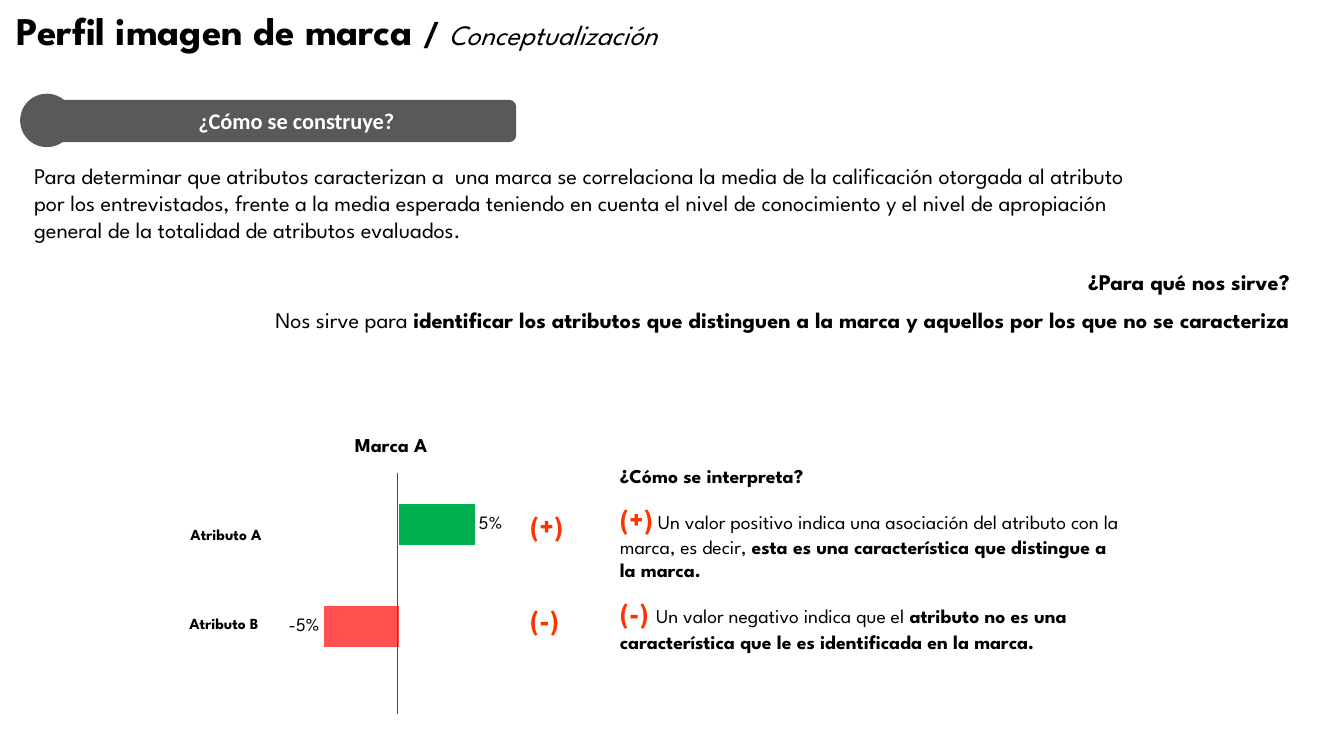
from lxml import etree
from pptx import Presentation
from pptx.chart.data import CategoryChartData
from pptx.dml.color import RGBColor
from pptx.enum.chart import XL_CHART_TYPE as ChartType, XL_LABEL_POSITION as LabelPosition
from pptx.enum.shapes import MSO_CONNECTOR as Connector, MSO_SHAPE as Shape
from pptx.enum.text import PP_ALIGN as Align
from pptx.oxml import parse_xml
from pptx.oxml.ns import nsdecls, qn
from pptx.util import Inches, Pt

FONT = "League Spartan"
BLACK, WHITE, GREY, ORANGE = "000000", "FFFFFF", "595959", "FF3300"
GREEN, RED, AXIS_BLUE = "00B050", "FF5050", "156082"

BOLD = {"bold": True}
SIGN = {"size": 20, "bold": True, "color": ORANGE}

# Each text: box, format of the whole box, alignment, space between paragraphs,
# paragraphs as lists of (text, format of the run)
TEXTS = [
    ((0.07, 0.01, 7.78, 0.57), {"size": 28}, Align.LEFT, 0, [
        [("Perfil imagen de marca ", BOLD), ("/ ", {"size": 24, "bold": True}),
         ("Conceptualización", {"size": 20, "italic": True})]]),
    ((0.61, 1.01, 4.66, 0.37), {"size": 16, "name": "Calibri", "color": WHITE}, Align.CENTER, 0, [
        [("¿Cómo se construye?", BOLD)]]),
    ((0.24, 1.56, 11.34, 0.91), {"size": 16}, Align.LEFT, 0, [
        [("Para determinar que atributos caracterizan a  una marca se correlaciona la media de la "
          "calificación otorgada al atributo por los entrevistados, frente a la media esperada "
          "teniendo en cuenta el nivel de conocimiento y el nivel de apropiación general de la "
          "totalidad de atributos evaluados.", {})]]),
    ((0.73, 2.61, 12.16, 0.77), {"size": 16}, Align.RIGHT, 8, [
        [("¿Para qué nos sirve?", BOLD)],
        [("Nos sirve para ", {}),
         ("identificar los atributos que distinguen a la marca y aquellos por los que no se "
          "caracteriza", BOLD)]]),
    ((3.13, 4.25, 1.5, 0.34), {"size": 14}, Align.CENTER, 0, [[("Marca A", BOLD)]]),
    ((1.79, 5.16, 1.5, 0.29), {"size": 11}, Align.LEFT, 0, [[("Atributo A", BOLD)]]),
    ((1.78, 6.04, 1.5, 0.29), {"size": 11}, Align.LEFT, 0, [[("Atributo B", BOLD)]]),
    ((6.05, 4.55, 5.17, 2.29), {"size": 14}, Align.LEFT, 10, [
        [("¿Cómo se interpreta?", BOLD)],
        [("(+)", SIGN),
         (" Un valor positivo indica una asociación del atributo con la marca, es decir, ", {}),
         ("esta es una característica que distingue a la marca.", BOLD)],
        [("(-) ", SIGN), ("Un valor negativo indica que el ", {}),
         ("atributo no es una característica que le es identificada en la marca.", BOLD)]]),
    ((5.16, 5, 0.79, 1.42), {"size": 20}, Align.LEFT, 43, [[("(+)", SIGN)], [("(-)", SIGN)]]),
]

BANNER_SHAPES = [
    (Shape.ROUNDED_RECTANGLE, (0.47, 0.99, 4.65, 0.42)),
    (Shape.OVAL, (0.2, 0.93, 0.53, 0.53)),
]

CHART_BOX = (2.81, 4.29, 2.77, 2.54)
PLOT_AREA = {"x": 0.09, "y": 0.16, "w": 0.65, "h": 0.8}
BRAND_SCORES = [("1", 0.05, GREEN), ("2", -0.05, RED)]
AXIS_LIMIT = 0.06
ZERO_LINE = (3.94, 4.69, 3.94, 7.08)


def rgb(color):
    return RGBColor.from_string(color)


def inches(box):
    return [Inches(length) for length in box]


def set_font(font, color=BLACK, size=None, **values):
    font.color.rgb = rgb(color)
    if size:
        font.size = Pt(size)
    for name, value in values.items():
        setattr(font, name, value)


def add_text(slide, box, base, align, gap, paragraphs):
    frame = slide.shapes.add_textbox(*inches(box)).text_frame
    frame.word_wrap = True
    for index, runs in enumerate(paragraphs):
        paragraph = frame.paragraphs[0] if index == 0 else frame.add_paragraph()
        paragraph.alignment = align
        if index:
            paragraph.space_before = Pt(gap)
        for text, values in runs:
            run = paragraph.add_run()
            run.text = text
            set_font(run.font, **{"name": FONT, **base, **values})


def add_banner_shape(slide, kind, box):
    shape = slide.shapes.add_shape(kind, *inches(box))
    shape.shadow.inherit = False
    shape.fill.solid()
    shape.fill.fore_color.rgb = rgb(GREY)
    shape.line.fill.background()


def place_plot(chart):
    """Fix the inner plot area as fractions of the chart."""
    plot_area = chart.plots[0]._element.getparent()
    for layout in plot_area.findall(qn("c:layout")):
        plot_area.remove(layout)
    sizes = "".join(f'<c:{key} val="{value}"/>' for key, value in PLOT_AREA.items())
    plot_area.insert(0, parse_xml(
        f'<c:layout {nsdecls("c")}><c:manualLayout><c:layoutTarget val="inner"/>'
        f'<c:xMode val="edge"/><c:yMode val="edge"/>{sizes}</c:manualLayout></c:layout>'))


def add_score_chart(slide):
    categories, values, colors = zip(*BRAND_SCORES)
    data = CategoryChartData(number_format="0%")
    data.categories = categories
    data.add_series("Marca A", values)
    chart = slide.shapes.add_chart(ChartType.BAR_CLUSTERED, *inches(CHART_BOX), data).chart
    chart.has_title = chart.has_legend = False
    set_font(chart.font, size=13.5, name=FONT)
    chart.category_axis.reverse_order = True
    chart.value_axis.minimum_scale, chart.value_axis.maximum_scale = -AXIS_LIMIT, AXIS_LIMIT
    chart.value_axis.has_major_gridlines = False
    chart.category_axis.visible = chart.value_axis.visible = False

    plot = chart.plots[0]
    plot.gap_width = 150
    plot.vary_by_categories = False
    plot.has_data_labels = True
    labels = {"show_value": True, "number_format": "0%", "number_format_is_linked": False,
              "position": LabelPosition.OUTSIDE_END}
    for name, value in labels.items():
        setattr(plot.data_labels, name, value)

    series = plot.series[0]
    series.invert_if_negative = False
    for index, color in enumerate(colors):
        fill = series.points[index].format.fill
        fill.solid()
        fill.fore_color.rgb = rgb(color)
    place_plot(chart)


def add_zero_line(slide):
    line = slide.shapes.add_connector(Connector.STRAIGHT, *inches(ZERO_LINE))
    line.line.color.rgb = rgb(AXIS_BLUE)
    line.line.width = Pt(1)
    etree.SubElement(line._element.spPr, qn("a:effectLst"))


def main():
    presentation = Presentation()
    presentation.slide_width, presentation.slide_height = Inches(13.33), Inches(7.5)
    slide = presentation.slides.add_slide(presentation.slide_layouts[6])
    for kind, box in BANNER_SHAPES:
        add_banner_shape(slide, kind, box)
    add_score_chart(slide)
    add_zero_line(slide)
    for text in TEXTS:
        add_text(slide, *text)
    presentation.save("out.pptx")


if __name__ == "__main__":
    main()
